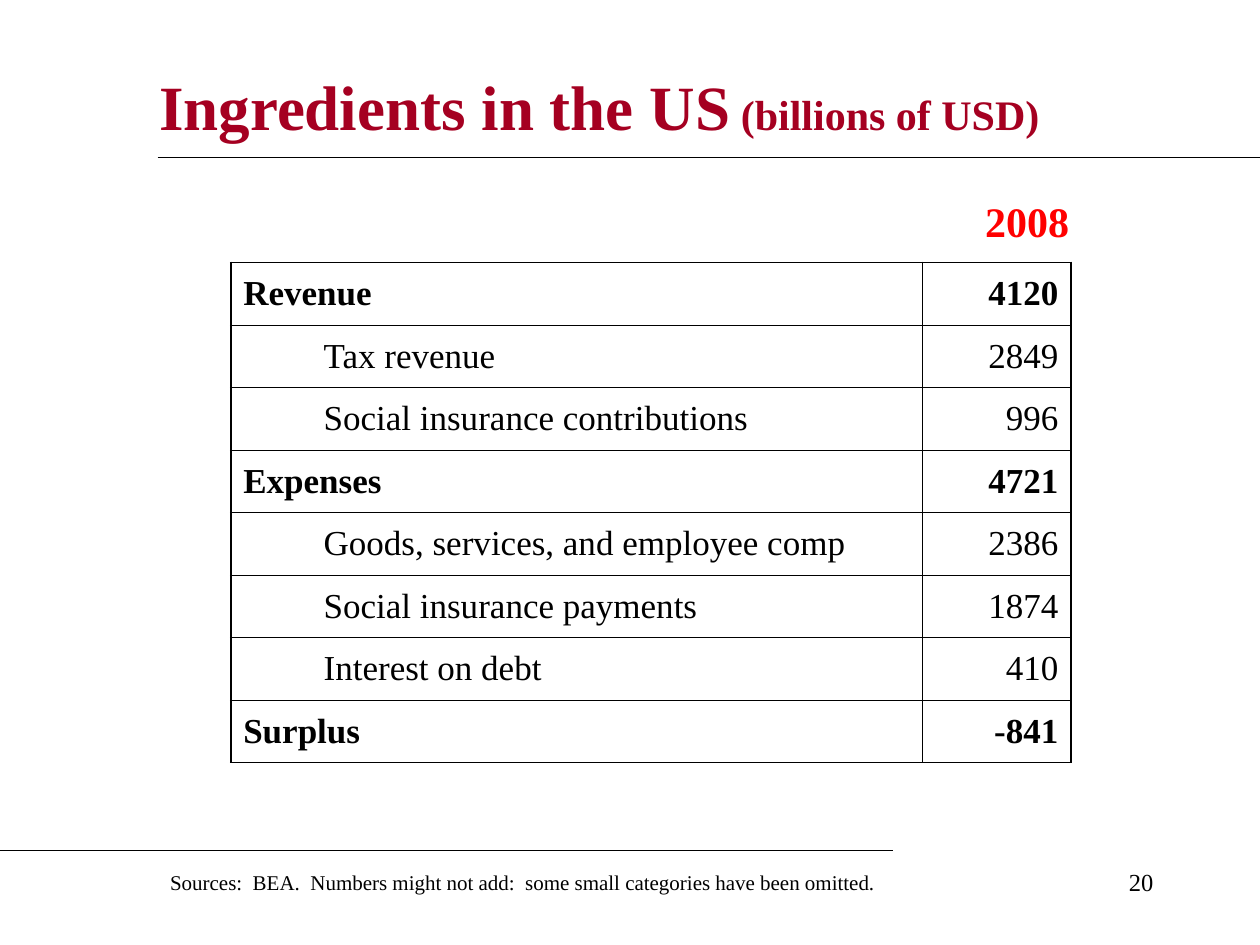
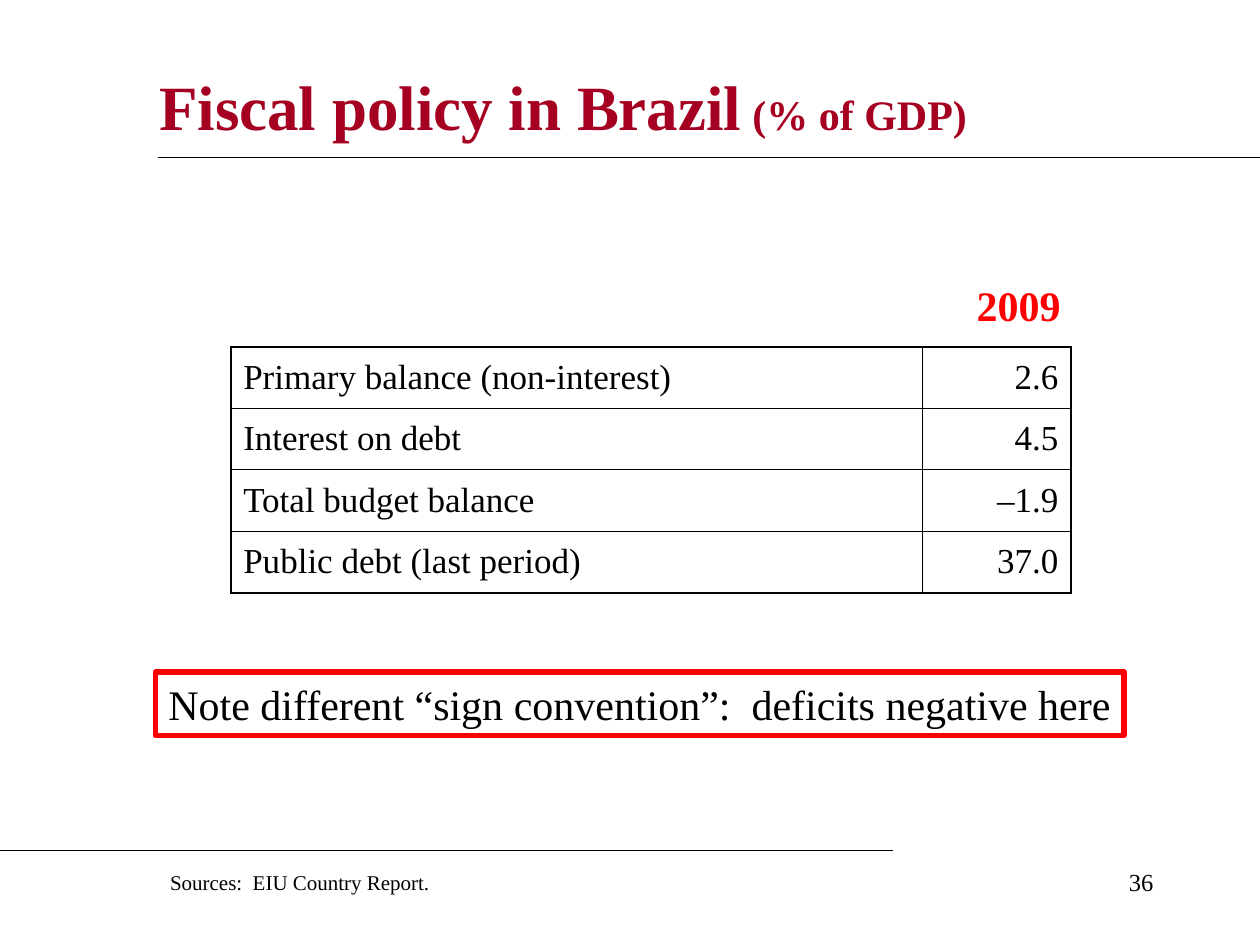
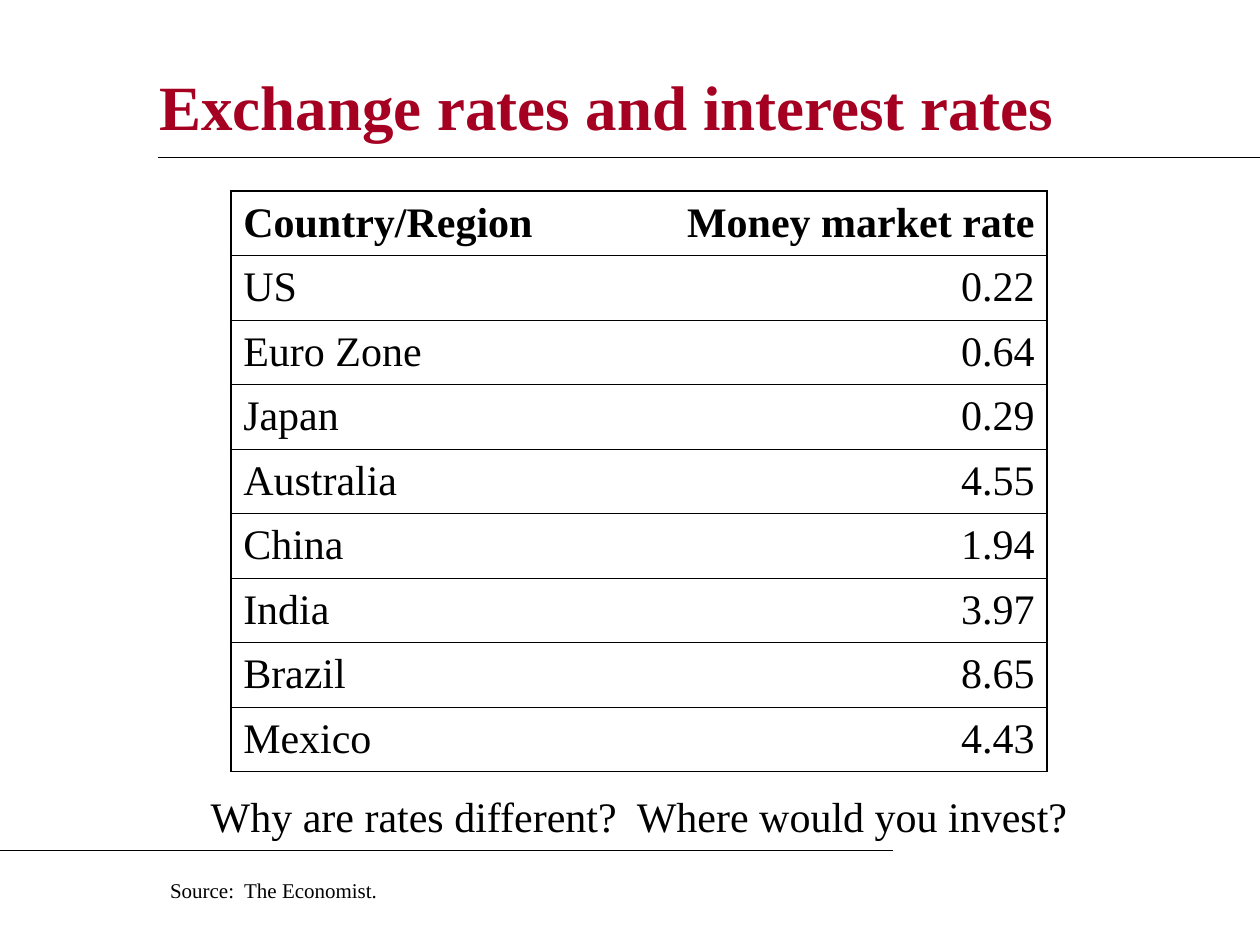
import dataclasses

import lxml.etree
import pptx
import pptx.dml.color
import pptx.enum.shapes
import pptx.enum.text
import pptx.oxml.ns
import pptx.util

Cm = pptx.util.Cm
Pt = pptx.util.Pt
RGB = pptx.dml.color.RGBColor
ALIGN = pptx.enum.text.PP_ALIGN
ANCHOR = pptx.enum.text.MSO_ANCHOR
qn = pptx.oxml.ns.qn


@dataclasses.dataclass(frozen=True)
class Theme:
    font: str = "Times New Roman"
    ink: RGB = RGB(0x00, 0x00, 0x00)
    title: RGB = RGB(0xA5, 0x00, 0x21)
    accent: RGB = RGB(0xFF, 0x00, 0x00)
    title_size: int = 36
    large_size: int = 24
    table_size: int = 20
    number_size: int = 14
    source_size: int = 12
    rule: float = 0.75
    frame: float = 3
    outer_border: float = 1.08
    inner_border: float = 0.45


class Deck:
    def __init__(self, theme):
        self.theme = theme
        self.prs = pptx.Presentation()
        self.prs.slide_width, self.prs.slide_height = Cm(25.4), Cm(19.05)
        self.s = None

    def add_slide(self, title, unit=None, number=None):
        """Start a slide with its title, both rules and page number."""
        t = self.theme
        self.s = self.prs.slides.add_slide(self.prs.slide_layouts[6])
        p = self.text(title, 2.96, 1.06, 21.6, 2.12, t.title_size, t.title,
                      bold=True, anchor=ANCHOR.MIDDLE)
        if unit:
            r = p.add_run()
            r.text = f" {unit}"
            self.style(r, t.large_size, t.title, True)
        self.rule(3.18, 25.4, 3.18)
        self.rule(0, 18, 17.15)
        if number:
            self.text(number, 18.2, 17.36, 5.3, 1.27, t.number_size, align=ALIGN.RIGHT)

    def style(self, r, size, color=None, bold=False):
        r.font.name = self.theme.font
        r.font.size = Pt(size)
        r.font.bold = bold
        r.font.color.rgb = color or self.theme.ink

    def fill_paragraph(self, p, text, size, color=None, bold=False, align=ALIGN.LEFT):
        p.text = text
        p.alignment = align
        for r in p.runs:
            self.style(r, size, color, bold)

    def text(self, text, x, y, w, h, size, color=None, bold=False,
             align=ALIGN.LEFT, anchor=ANCHOR.TOP):
        sp = self.s.shapes.add_textbox(Cm(x), Cm(y), Cm(w), Cm(h))
        tf = sp.text_frame
        tf.word_wrap = True
        tf.vertical_anchor = anchor
        p = tf.paragraphs[0]
        self.fill_paragraph(p, text, size, color, bold, align)
        return p

    def rule(self, x1, x2, y):
        line = self.s.shapes.add_connector(
            pptx.enum.shapes.MSO_CONNECTOR.STRAIGHT, Cm(x1), Cm(y), Cm(x2), Cm(y))
        line.line.color.rgb = self.theme.ink
        line.line.width = Pt(self.theme.rule)
        lxml.etree.SubElement(line._element.spPr, qn("a:effectLst"))

    def source(self, text, y=17.4):
        self.text(text, 3.18, y, 18.2, 0.76, self.theme.source_size)

    def year(self, text, right, y):
        width = 3
        self.text(text, right - width, y, width, 1.27, self.theme.large_size,
                  self.theme.accent, bold=True, align=ALIGN.RIGHT)

    def framed_note(self, text, x, y, w, h):
        sp = self.s.shapes.add_shape(
            pptx.enum.shapes.MSO_SHAPE.RECTANGLE, Cm(x), Cm(y), Cm(w), Cm(h))
        sp.shadow.inherit = False
        sp.fill.background()
        sp.line.color.rgb = self.theme.accent
        sp.line.width = Pt(self.theme.frame)
        tf = sp.text_frame
        tf.word_wrap = False
        tf.vertical_anchor = ANCHOR.TOP
        self.fill_paragraph(tf.paragraphs[0], text, self.theme.large_size,
                            align=ALIGN.CENTER)

    def border(self, cell, sides):
        """Draw the sides (L, R, T, B) at the given widths; None hides a side."""
        tc_pr = cell._tc.get_or_add_tcPr()
        for i, (side, width) in enumerate(sides.items()):
            ln = lxml.etree.Element(qn(f"a:ln{side}"))
            tc_pr.insert(i, ln)
            if width is None:
                lxml.etree.SubElement(ln, qn("a:noFill"))
                continue
            ln.set("w", str(int(Pt(width))))
            fill = lxml.etree.SubElement(ln, qn("a:solidFill"))
            lxml.etree.SubElement(fill, qn("a:srgbClr"), val=str(self.theme.ink))

    def table(self, rows, y, widths, row_height, size, bold_rows=(), divider=True):
        """Add a table; a None cell is merged into the cell on its left."""
        outer, inner = self.theme.outer_border, self.theme.inner_border
        last_row, last_col = len(rows) - 1, len(widths) - 1
        table = self.s.shapes.add_table(
            len(rows), len(widths), Cm(4.65), Cm(y), Cm(sum(widths)),
            Cm(row_height * len(rows))).table
        table.first_row = table.horz_banding = False
        for column, width in zip(table.columns, widths):
            column.width = Cm(width)

        def vertical(edge):
            if edge in (0, last_col + 1):
                return outer
            return inner if divider and edge == last_col else None

        for i, row in enumerate(rows):
            for j, text in enumerate(row):
                cell = table.cell(i, j)
                if text is None:
                    table.cell(i, j - 1).merge(cell)
                cell.fill.background()
                cell.vertical_anchor = ANCHOR.MIDDLE
                self.fill_paragraph(
                    cell.text_frame.paragraphs[0], text or "", size,
                    bold=i in bold_rows,
                    align=ALIGN.RIGHT if j == last_col else ALIGN.LEFT)
                end = j + 1
                while end <= last_col and row[end] is None:
                    end += 1
                self.border(cell, {
                    "L": vertical(j),
                    "R": vertical(end),
                    "T": outer if i == 0 else inner,
                    "B": outer if i == last_row else inner,
                })


def us_ingredients(deck):
    deck.add_slide("Ingredients in the US", "(billions of USD)", "20")
    deck.source("Sources:  BEA.  Numbers might not add:  "
                "some small categories have been omitted.")
    rows = [
        ("Revenue", None, "4120"),
        ("", "Tax revenue", "2849"),
        ("", "Social insurance contributions", "996"),
        ("Expenses", None, "4721"),
        ("", "Goods, services, and employee comp", "2386"),
        ("", "Social insurance payments", "1874"),
        ("", "Interest on debt", "410"),
        ("Surplus", None, "-841"),
    ]
    totals = [i for i, row in enumerate(rows) if row[0]]
    deck.table(rows, 5.29, (1.62, 12.32, 3), 1.26, deck.theme.table_size, totals)
    deck.year("2008", 21.8, 3.81)


def brazil_fiscal_policy(deck):
    deck.add_slide("Fiscal policy in Brazil", "(% of GDP)", "36")
    deck.source("Sources:  EIU Country Report.")
    rows = [
        ("Primary balance (non-interest)", "2.6"),
        ("Interest on debt", "4.5"),
        ("Total budget balance", "–1.9"),
        ("Public debt (last period)", "37.0"),
    ]
    deck.table(rows, 6.99, (13.94, 3), 1.24, deck.theme.table_size)
    deck.year("2009", 21.63, 5.5)
    deck.framed_note("Note different “sign convention”:  deficits negative here",
                     3.13, 13.55, 19.53, 1.28)


def interest_rates(deck):
    deck.add_slide("Exchange rates and interest rates")
    deck.text("Why are rates different?  Where would you invest?",
              2.62, 16, 20.53, 1.27, deck.theme.large_size,
              align=ALIGN.CENTER).line_spacing = 0.8
    rows = [
        ("Country/Region", "Money market rate"),
        ("US", "0.22"),
        ("Euro Zone", "0.64"),
        ("Japan", "0.29"),
        ("Australia", "4.55"),
        ("China", "1.94"),
        ("India", "3.97"),
        ("Brazil", "8.65"),
        ("Mexico", "4.43"),
    ]
    deck.table(rows, 3.85, (6.99, 9.47), 1.3, deck.theme.large_size,
               bold_rows=(0,), divider=False)
    deck.source("Source:  The Economist.", 17.57)


def main():
    deck = Deck(Theme())
    us_ingredients(deck)
    brazil_fiscal_policy(deck)
    interest_rates(deck)
    deck.prs.save("out.pptx")


if __name__ == "__main__":
    main()
